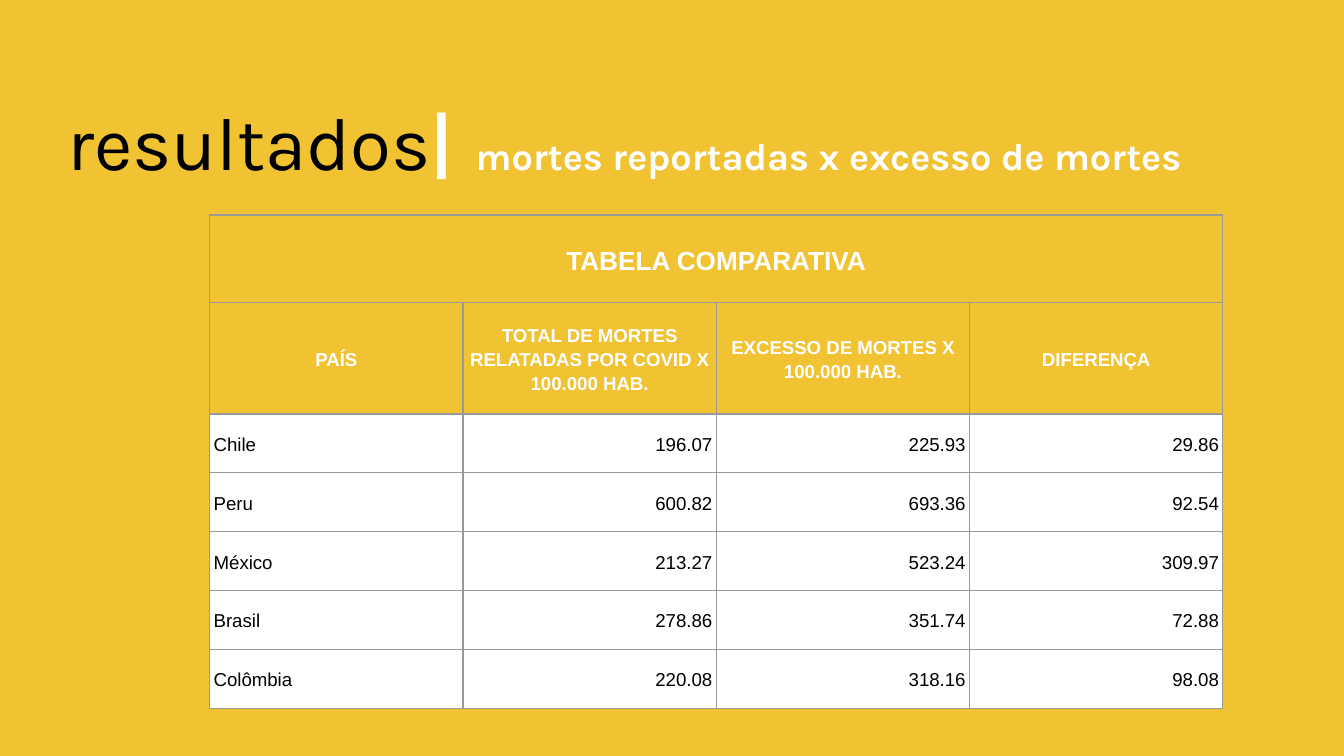
from dataclasses import dataclass

from lxml.etree import SubElement
from pptx import Presentation
from pptx.dml.color import RGBColor
from pptx.enum.text import MSO_ANCHOR, PP_ALIGN
from pptx.oxml.ns import qn
from pptx.util import Inches, Pt


@dataclass(frozen=True)
class Theme:
    """Colours, fonts and type sizes of the slide."""
    yellow: str = "F1C232"
    white: str = "FFFFFF"
    black: str = "000000"
    grid: str = "999999"
    title_font: str = "Karla"
    table_font: str = "Arial"
    title_size: float = 40
    gap_size: float = 46.8
    subtitle_size: float = 20.3
    caption_size: float = 14
    table_size: float = 10
    border: float = 0.75


THEME = Theme()
CAPTION = "TABELA COMPARATIVA"
HEADINGS = (
    "PAÍS",
    "TOTAL DE MORTES RELATADAS POR COVID X 100.000 HAB.",
    "EXCESSO DE MORTES X 100.000 HAB.",
    "DIFERENÇA",
)
COUNTRIES = (
    ("Chile", "196.07", "225.93", "29.86"),
    ("Peru", "600.82", "693.36", "92.54"),
    ("México", "213.27", "523.24", "309.97"),
    ("Brasil", "278.86", "351.74", "72.88"),
    ("Colômbia", "220.08", "318.16", "98.08"),
)


def add_text(paragraph, text, *, size, font, color, bold=False):
    """Append a formatted run to a paragraph."""
    run = paragraph.add_run()
    run.text = text
    run.font.size = Pt(size)
    run.font.name = font
    run.font.bold = bold
    run.font.color.rgb = RGBColor.from_string(color)


def add_title(slide):
    """Add the title line with its white bar and subtitle."""
    title = slide.shapes.add_textbox(Inches(0.35), Inches(0.59), Inches(8.59), Inches(0.91))
    frame = title.text_frame
    frame.word_wrap = True
    frame.vertical_anchor = MSO_ANCHOR.BOTTOM
    frame.margin_left = frame.margin_right = Inches(0.1)
    frame.margin_top = frame.margin_bottom = Inches(0.1)
    line = frame.paragraphs[0]
    line.alignment = PP_ALIGN.CENTER
    add_text(line, "resultados", size=THEME.title_size, font=THEME.title_font, color=THEME.black)
    for text, size in (
        ("|", THEME.title_size),
        (" ", THEME.gap_size),
        ("mortes reportadas x excesso de mortes", THEME.subtitle_size),
    ):
        add_text(line, text, size=size, font=THEME.title_font, color=THEME.white, bold=True)


def set_borders(cell):
    """Draw the thin grid line on all four sides of a cell."""
    properties = cell._tc.get_or_add_tcPr()
    for position, side in enumerate(("a:lnL", "a:lnR", "a:lnT", "a:lnB")):
        line = properties.makeelement(qn(side), {"w": str(Pt(THEME.border))})
        fill = SubElement(line, qn("a:solidFill"))
        SubElement(fill, qn("a:srgbClr"), val=THEME.grid)
        properties.insert(position, line)


def fill_cell(cell, text, *, fill, align, **text_format):
    """Set the fill, borders, margins and text of a table cell."""
    cell.fill.solid()
    cell.fill.fore_color.rgb = RGBColor.from_string(fill)
    set_borders(cell)
    cell.vertical_anchor = MSO_ANCHOR.MIDDLE
    cell.margin_left = cell.margin_right = Inches(0.03)
    cell.margin_top = cell.margin_bottom = Inches(0.02)
    paragraph = cell.text_frame.paragraphs[0]
    paragraph.alignment = align
    paragraph.line_spacing = 1.15
    if text:
        add_text(paragraph, text, font=THEME.table_font, **text_format)


def add_comparison(slide):
    """Add the table that compares reported and excess deaths."""
    width = Inches(7.54)
    country_height = Inches(2.19) // len(COUNTRIES)
    heights = [Inches(0.65), Inches(0.83)] + [country_height] * len(COUNTRIES)
    table = slide.shapes.add_table(
        len(heights), len(HEADINGS), Inches(1.56), Inches(1.6), width, sum(heights),
    ).table
    table.first_row = table.horz_banding = False
    for column in table.columns:
        column.width = width // len(HEADINGS)
    for row, height in zip(table.rows, heights):
        row.height = height

    heading = dict(fill=THEME.yellow, align=PP_ALIGN.CENTER, color=THEME.white, bold=True)
    for index, name in enumerate(HEADINGS):
        caption = CAPTION if index == 0 else ""
        fill_cell(table.cell(0, index), caption, size=THEME.caption_size, **heading)
        fill_cell(table.cell(1, index), name, size=THEME.table_size, **heading)
    table.cell(0, 0).merge(table.cell(0, len(HEADINGS) - 1))

    for row, country in enumerate(COUNTRIES, start=2):
        for index, value in enumerate(country):
            align = PP_ALIGN.RIGHT if index else PP_ALIGN.LEFT
            fill_cell(table.cell(row, index), value, fill=THEME.white, align=align,
                      size=THEME.table_size, color=THEME.black)


def main():
    """Build and save the results slide."""
    presentation = Presentation()
    presentation.slide_width = Inches(10)
    presentation.slide_height = Inches(10) * 9 // 16
    slide = presentation.slides.add_slide(presentation.slide_layouts[6])
    background = slide.background.fill
    background.solid()
    background.fore_color.rgb = RGBColor.from_string(THEME.yellow)
    add_title(slide)
    add_comparison(slide)
    presentation.save("out.pptx")


if __name__ == "__main__":
    main()
